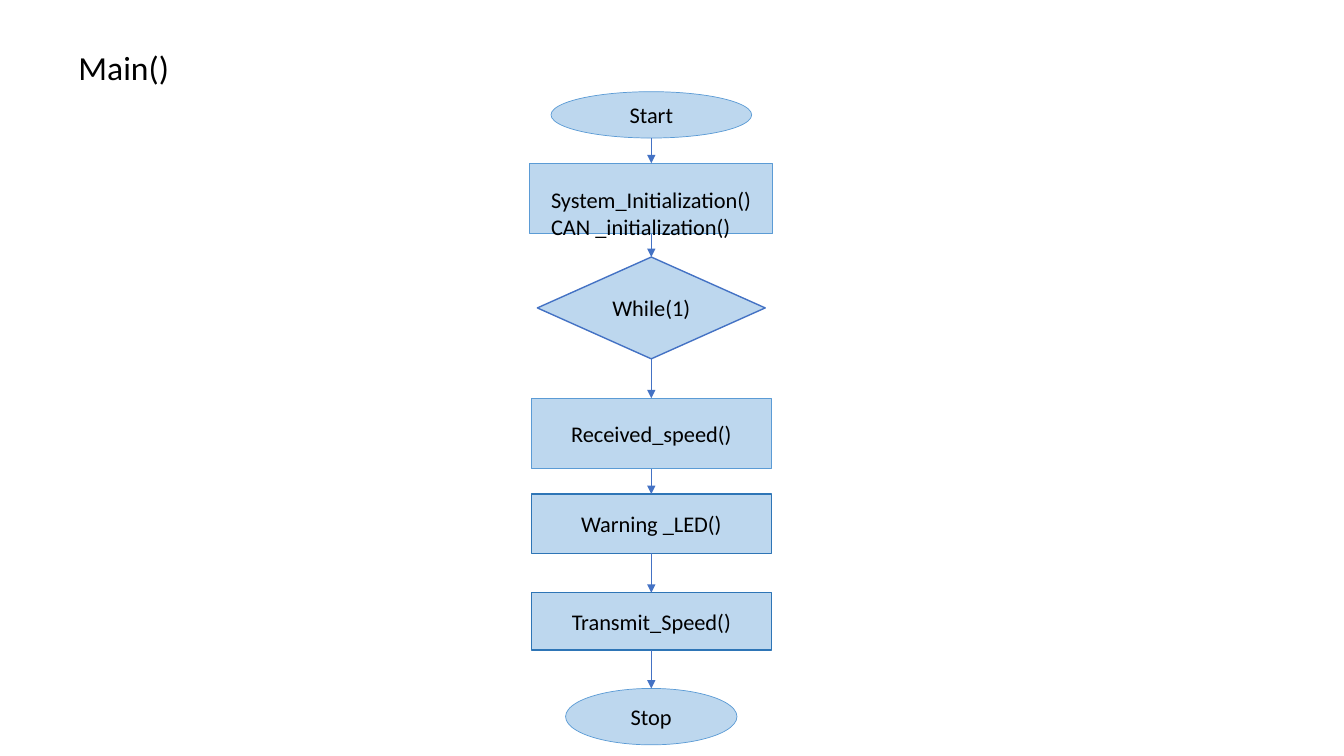
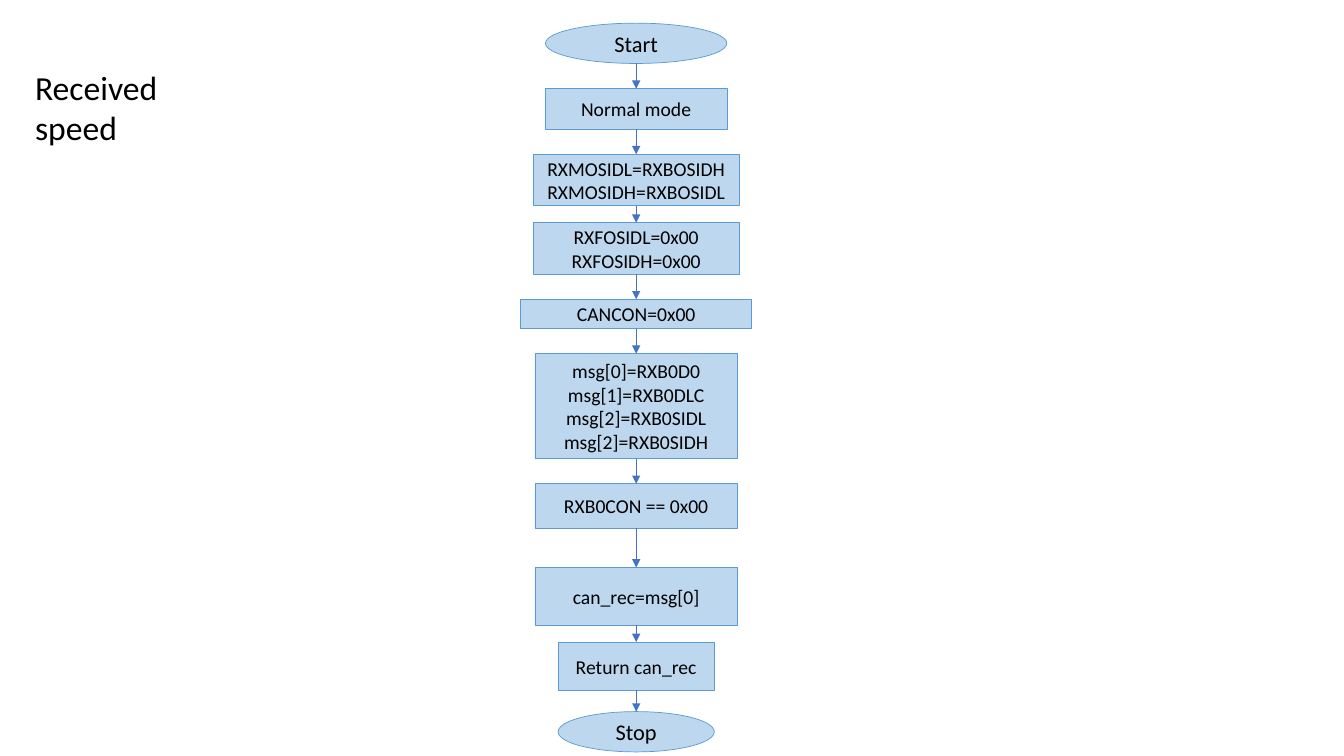
from dataclasses import dataclass

from lxml import etree
from pptx import Presentation
from pptx import util as u
from pptx.dml.color import RGBColor
from pptx.enum import shapes, text
from pptx.oxml.ns import qn

OVAL = shapes.MSO_SHAPE.OVAL
BOX = shapes.MSO_SHAPE.RECTANGLE
DIAMOND = shapes.MSO_SHAPE.DIAMOND


@dataclass(frozen=True)
class Theme:
    font: str = "Calibri"
    ink: str = "000000"
    fill: str = "BDD7EE"
    outline: str = "5B9BD5"
    dark_outline: str = "2E75B6"
    arrow: str = "4472C4"
    title_size: int = 24
    large: int = 16
    small: int = 14
    thin: float = 0.5
    thick: float = 1
    gap: float = 0.25


THEME = Theme()


@dataclass(frozen=True)
class Step:
    label: str
    width: float
    height: float
    kind: int = BOX
    gap: float = THEME.gap  # distance to the step above
    size: int = THEME.large
    outline: str = THEME.outline
    weight: float = THEME.thin
    inset: tuple = None  # left and top; the label then starts at that corner


def write(frame, content, size=THEME.large, align=text.PP_ALIGN.CENTER,
          anchor=text.MSO_ANCHOR.MIDDLE, wrap=True):
    """Put each line of the content in its own paragraph."""
    frame.word_wrap = wrap
    frame.vertical_anchor = anchor
    for number, line in enumerate(content.split("\n")):
        paragraph = frame.add_paragraph() if number else frame.paragraphs[0]
        paragraph.alignment = align
        run = paragraph.add_run()
        run.text = line
        run.font.name = THEME.font
        run.font.size = u.Pt(size)
        run.font.color.rgb = RGBColor.from_string(THEME.ink)


def add_title(slide, box, content, wrap=True):
    title = slide.shapes.add_textbox(*map(u.Inches, box))
    write(title.text_frame, content, size=THEME.title_size, wrap=wrap,
          align=text.PP_ALIGN.LEFT, anchor=text.MSO_ANCHOR.TOP)


def add_step(slide, axis, top, step):
    node = slide.shapes.add_shape(
        step.kind, u.Inches(axis - step.width / 2), u.Inches(top),
        u.Inches(step.width), u.Inches(step.height))
    node.shadow.inherit = False
    node.fill.solid()
    node.fill.fore_color.rgb = RGBColor.from_string(THEME.fill)
    node.line.color.rgb = RGBColor.from_string(step.outline)
    node.line.width = u.Pt(step.weight)
    if step.inset:
        frame = node.text_frame
        frame.margin_left, frame.margin_top = map(u.Inches, step.inset)
        write(frame, step.label, size=step.size, align=text.PP_ALIGN.LEFT,
              anchor=text.MSO_ANCHOR.TOP)
    else:
        write(node.text_frame, step.label, size=step.size)
    return node


def add_arrow(slide, upper, lower):
    """Lead from the bottom of one step to the top of the next."""
    arrow = slide.shapes.add_connector(
        shapes.MSO_CONNECTOR.STRAIGHT,
        upper.left + upper.width // 2, upper.top + upper.height,
        lower.left + lower.width // 2, lower.top)
    if upper.auto_shape_type != OVAL:  # site 2 of an oval is its left side
        arrow.begin_connect(upper, 2)
    arrow.end_connect(lower, 0)
    arrow.line.color.rgb = RGBColor.from_string(THEME.arrow)
    arrow.line.width = u.Pt(THEME.thin)
    properties = arrow.element.spPr
    etree.SubElement(properties.find(qn("a:ln")), qn("a:tailEnd"), type="triangle")
    etree.SubElement(properties, qn("a:effectLst"))


def add_flow(slide, box, steps):
    """Stack the steps on the middle axis of the box, then join them."""
    left, top, width = box
    nodes = []
    for step in steps:
        if nodes:
            top += step.gap
        nodes.append(add_step(slide, left + width / 2, top, step))
        top += step.height
    for upper, lower in zip(nodes, nodes[1:]):
        add_arrow(slide, upper, lower)


def flow_slide(deck, title, title_box, flow_box, steps, wrap_title=True):
    slide = deck.slides.add_slide(deck.slide_layouts[6])
    add_title(slide, title_box, title, wrap=wrap_title)
    add_flow(slide, flow_box, steps)


# Steps of the main program
MAIN_STEPS = [
    Step("Start", 1.99, 0.46, OVAL),
    Step("System_Initialization()\nCAN _initialization()", 2.41, 0.7,
         inset=(0.21, 0.23)),
    Step("While(1)", 2.26, 1.01, DIAMOND, gap=0.23,
         outline=THEME.arrow, weight=THEME.thick),
    Step("Received_speed()", 2.38, 0.7, gap=0.39),
    Step("Warning _LED()", 2.38, 0.59,
         outline=THEME.dark_outline, weight=THEME.thick),
    Step("Transmit_Speed()", 2.38, 0.57, gap=0.39,
         outline=THEME.dark_outline, weight=THEME.thick),
    Step("Stop", 1.7, 0.56, OVAL, gap=0.38),
]

# Steps of the speed receiver
RECEIVE_STEPS = [
    Step("Start", 1.8, 0.4, OVAL),
    Step("Normal mode", 1.8, 0.4, size=THEME.small),
    Step("RXMOSIDL=RXBOSIDH\nRXMOSIDH=RXBOSIDL", 2.04, 0.51, size=THEME.small),
    Step("RXFOSIDL=0x00\nRXFOSIDH=0x00", 2.04, 0.51, gap=0.17, size=THEME.small),
    Step("CANCON=0x00", 2.29, 0.29, size=THEME.small),
    Step("msg[0]=RXB0D0\nmsg[1]=RXB0DLC\nmsg[2]=RXB0SIDL\nmsg[2]=RXB0SIDH",
         2.01, 1.04, size=THEME.small),
    Step("RXB0CON == 0x00", 2.01, 0.44, size=THEME.small),
    Step("can_rec=msg[0]", 2.01, 0.57, gap=0.39, size=THEME.small),
    Step("Return can_rec", 1.55, 0.48, gap=0.17, size=THEME.small),
    Step("Stop", 1.55, 0.4, OVAL, gap=0.21),
]


def main():
    deck = Presentation()
    deck.slide_width, deck.slide_height = u.Inches(13.33), u.Inches(7.5)
    flow_slide(deck, "Main()", (0.68, 0.42, 1.11, 0.5), (5.25, 0.91, 2.42),
               MAIN_STEPS, wrap_title=False)
    flow_slide(deck, "Received speed", (0.25, 0.61, 2.24, 0.91),
               (5.16, 0.23, 2.3), RECEIVE_STEPS)
    deck.save("out.pptx")


if __name__ == "__main__":
    main()
